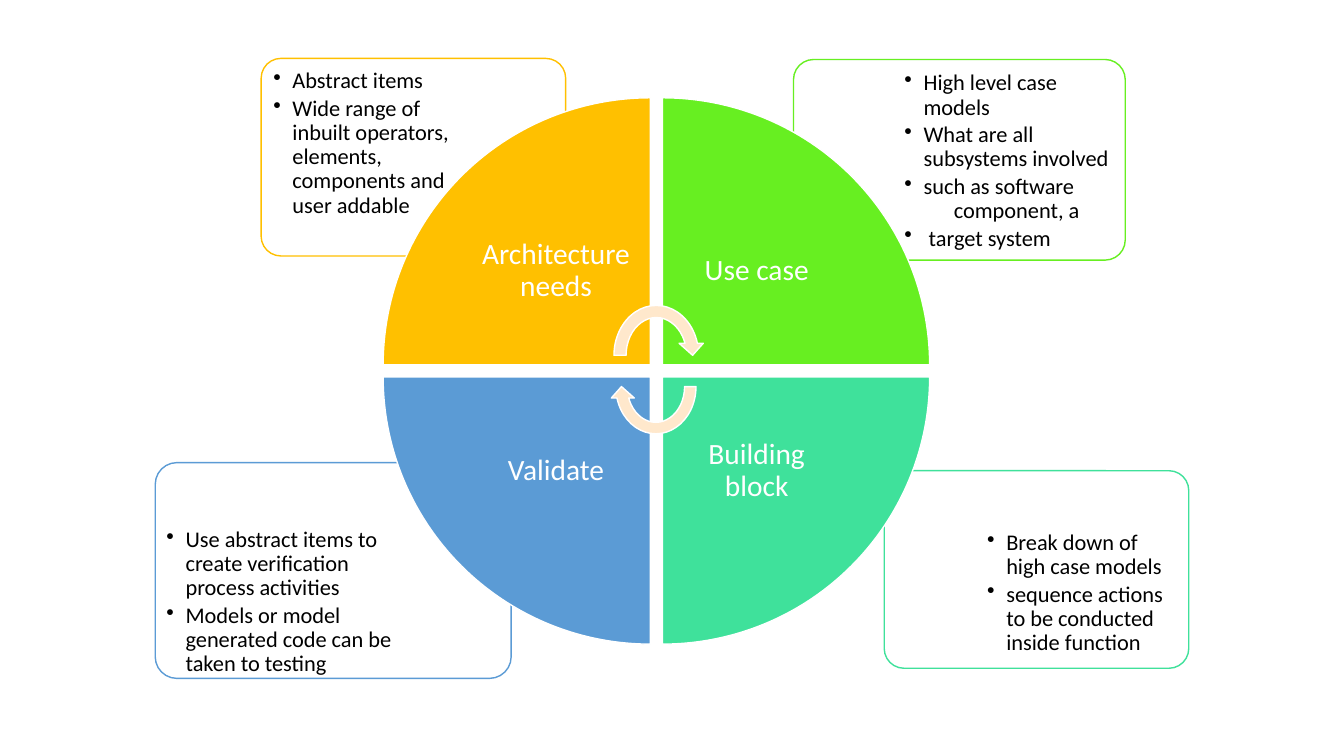
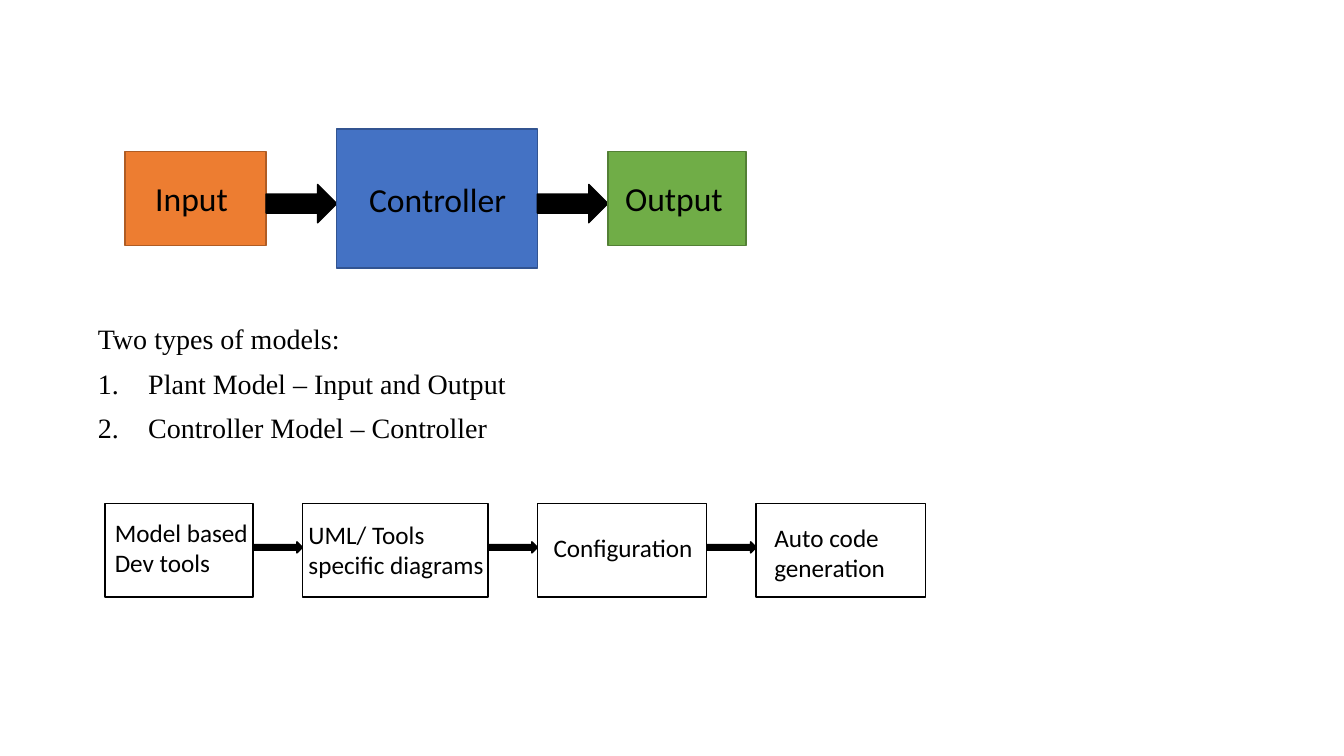
from dataclasses import dataclass

from lxml import etree
from pptx import Presentation
from pptx.dml.color import RGBColor
from pptx.enum import shapes, text
from pptx.oxml import ns
from pptx.util import Inches, Pt


@dataclass(frozen=True)
class Theme:
    sans: str = "Calibri"
    serif: str = "Times New Roman"
    black: str = "000000"
    white: str = "FFFFFF"
    amber: str = "FFC000"
    lime: str = "67EF21"
    mint: str = "3FE19B"
    blue: str = "5B9BD5"
    cream: str = "FFE8CC"
    note_size: float = 16
    step_size: float = 18
    body_size: float = 20
    label_size: float = 21
    block_size: float = 24
    line_spacing: float = 0.9


THEME = Theme()
SHAPE = shapes.MSO_SHAPE
NOTE_INSET = 0.07
CORNER = 0.1
# Share of the corner radius by which a rounded rectangle insets its text
CORNER_TEXT_INSET = 0.29


def add_shape(page, kind, place, fill, line):
    shape = page.shapes.add_shape(kind, *map(Inches, place))
    shape.shadow.inherit = False
    shape.fill.solid()
    shape.fill.fore_color.rgb = RGBColor.from_string(fill)
    shape.line.color.rgb = RGBColor.from_string(line)
    shape.line.width = Pt(1)
    return shape


def set_margins(frame, left, top, right, bottom):
    frame.word_wrap = True
    frame.margin_left, frame.margin_top = Inches(left), Inches(top)
    frame.margin_right, frame.margin_bottom = Inches(right), Inches(bottom)


def write(para, words, size, color=THEME.black, font=THEME.sans):
    span = para.add_run()
    span.text = words
    span.font.name = font
    span.font.size = Pt(size)
    span.font.color.rgb = RGBColor.from_string(color)


def set_bullet(para, tag, indent=0.0, hanging=0.0, **attributes):
    """Set a paragraph's bullet element and its indents."""
    properties = para._p.get_or_add_pPr()
    properties.set("marL", str(Inches(indent)))
    properties.set("indent", str(Inches(-hanging)))
    bullet = etree.SubElement(properties, ns.qn(f"a:{tag}"))
    for name, value in attributes.items():
        bullet.set(name, value)


def paragraphs(frame, count):
    return [frame.paragraphs[0]] + [frame.add_paragraph() for _ in range(count - 1)]


def add_card(page, place, text_place, color, notes):
    """Draw a rounded card; a note that is a tuple continues on an indented line."""
    card = add_shape(page, SHAPE.ROUNDED_RECTANGLE, place, THEME.white, color)
    card.adjustments[0] = CORNER
    left, top, width, height = place
    text_left, text_top, text_width = text_place
    inset = CORNER * CORNER_TEXT_INSET * min(width, height)
    frame = card.text_frame
    frame.vertical_anchor = text.MSO_ANCHOR.TOP
    set_margins(
        frame,
        text_left + NOTE_INSET - left - inset,
        text_top + NOTE_INSET - top - inset,
        left + width - text_left - text_width + NOTE_INSET - inset,
        0,
    )
    lines = []
    for note in notes:
        parts = note if isinstance(note, tuple) else (note,)
        lines += [(part, index > 0, index == len(parts) - 1)
                  for index, part in enumerate(parts)]
    for para, (words, continued, last) in zip(paragraphs(frame, len(lines)), lines):
        para.alignment = text.PP_ALIGN.LEFT
        para.line_spacing = THEME.line_spacing
        para.space_after = Pt(THEME.note_size * 0.15 if last else 0)
        if continued:
            set_bullet(para, "buNone", 0.49)
        else:
            set_bullet(para, "buChar", 0.19, 0.19, char="•")
        write(para, words, THEME.note_size)


def add_quadrant(page, column, row, turn, color, label):
    side, pitch, label_side = 2.65, 2.77, 1.87
    left, top = 3.8 + pitch * column, 0.97 + pitch * row
    wedge = add_shape(page, SHAPE.PIE_WEDGE, (left, top, side, side), color, THEME.white)
    wedge.rotation = turn
    shift = side - label_side
    place = (left + shift * (1 - column), top + shift * (1 - row), label_side, label_side)
    box = page.shapes.add_textbox(*map(Inches, place))
    set_margins(box.text_frame, 0.16, 0.16, 0.16, 0.16)
    box.text_frame.vertical_anchor = text.MSO_ANCHOR.MIDDLE
    para = box.text_frame.paragraphs[0]
    para.alignment = text.PP_ALIGN.CENTER
    para.line_spacing = THEME.line_spacing
    write(para, label, THEME.label_size, THEME.white)


def add_flow(page, left, middle, gap, arrow, size, blocks):
    """Lay blocks in a row; arrow is its centre and height."""
    arrow_middle, arrow_height = arrow
    for index, (label, width, height, fill, line, indent, text_top) in enumerate(blocks):
        if index:
            place = (left, arrow_middle - arrow_height / 2, gap, arrow_height)
            add_shape(page, SHAPE.RIGHT_ARROW, place, THEME.black, THEME.black)
            left += gap
        top = middle - height / 2
        block = add_shape(page, SHAPE.RECTANGLE, (left, top, width, height), fill, line)
        frame = block.text_frame
        set_margins(frame, indent, text_top - top, 0, 0)
        frame.vertical_anchor = text.MSO_ANCHOR.TOP
        frame.paragraphs[0].alignment = text.PP_ALIGN.LEFT
        write(frame.paragraphs[0], label, size)
        left += width


def fill_body(body, intro, items):
    body.left, body.top = Inches(0.87), Inches(3.18)
    body.width, body.height = Inches(11.55), Inches(1.5)
    frame = body.text_frame
    frame.auto_size = text.MSO_AUTO_SIZE.NONE
    frame.vertical_anchor = text.MSO_ANCHOR.TOP
    set_margins(frame, 0.1, 0.05, 0.1, 0.05)
    lines = [intro, *items]
    for index, (para, words) in enumerate(zip(paragraphs(frame, len(lines)), lines)):
        para.line_spacing = THEME.line_spacing
        para.space_before = Pt(10 if index else 0)
        if index:
            set_bullet(para, "buAutoNum", 0.5, 0.5, type="arabicPeriod")
        else:
            set_bullet(para, "buNone")
        write(para, words, THEME.body_size, font=THEME.serif)


def build_cycle(deck):
    page = deck.slides.add_slide(deck.slide_layouts[6])
    add_card(page, (8.77, 4.67, 3.02, 1.96), (9.72, 5.2, 2.03), THEME.mint, [
        "Break down of high case models",
        "sequence actions to be conducted inside function",
    ])
    add_card(page, (1.54, 4.59, 3.53, 2.14), (1.58, 5.17, 2.38), THEME.blue, [
        "Use abstract items to create verification process activities",
        "Models or model generated code can be taken to testing",
    ])
    add_card(page, (7.87, 0.59, 3.29, 1.99), (8.9, 0.64, 2.21), THEME.lime, [
        "High level case models",
        "What are all subsystems involved",
        ("such as software", "component, a"),
        " target system",
    ])
    add_card(page, (2.59, 0.58, 3.02, 1.96), (2.64, 0.62, 2.03), THEME.amber, [
        "Abstract items",
        "Wide range of inbuilt operators, elements, components and user addable",
    ])
    for quadrant in [
        (0, 0, 0, THEME.amber, "Architecture needs"),
        (1, 0, 90, THEME.lime, "Use case"),
        (1, 1, 180, THEME.mint, "Building block"),
        (0, 1, 270, THEME.blue, "Validate"),
    ]:
        add_quadrant(page, *quadrant)
    for place, turn in [((6.03, 2.97, 0.96, 1.11), 0), ((6.05, 3.31, 0.91, 1.05), 180)]:
        arrow = add_shape(page, SHAPE.CIRCULAR_ARROW, place, THEME.cream, THEME.white)
        arrow.rotation = turn


def build_models(deck):
    page = deck.slides.add_slide(deck.slide_layouts[1])
    title = page.shapes.title
    title._element.getparent().remove(title._element)
    fill_body(page.placeholders[1], "Two types of models:", [
        "Plant Model – Input and Output",
        "Controller Model – Controller",
    ])
    add_flow(page, 1.24, 1.97, 0.7, (2.02, 0.38), THEME.block_size, [
        ("Input", 1.4, 0.93, "ED7D31", "AF5C24", 0.3, 1.77),
        ("Controller", 1.99, 1.38, "4472C4", "325491", 0.32, 1.77),
        ("Output", 1.37, 0.93, "70AD47", "538035", 0.17, 1.77),
    ])
    steps = [
        ("Model based Dev tools", 1.47, 0.1, 5.13),
        ("UML/ Tools specific diagrams", 1.84, 0.06, 5.15),
        ("Configuration", 1.68, 0.16, 5.28),
        ("Auto code generation", 1.68, 0.18, 5.18),
    ]
    add_flow(page, 1.04, 5.46, 0.49, (5.43, 0.11), THEME.step_size, [
        (label, width, 0.93, THEME.white, THEME.black, indent, text_top)
        for label, width, indent, text_top in steps
    ])


def main():
    deck = Presentation()
    deck.slide_width, deck.slide_height = Inches(13.33), Inches(7.5)
    build_cycle(deck)
    build_models(deck)
    deck.save("out.pptx")


if __name__ == "__main__":
    main()
